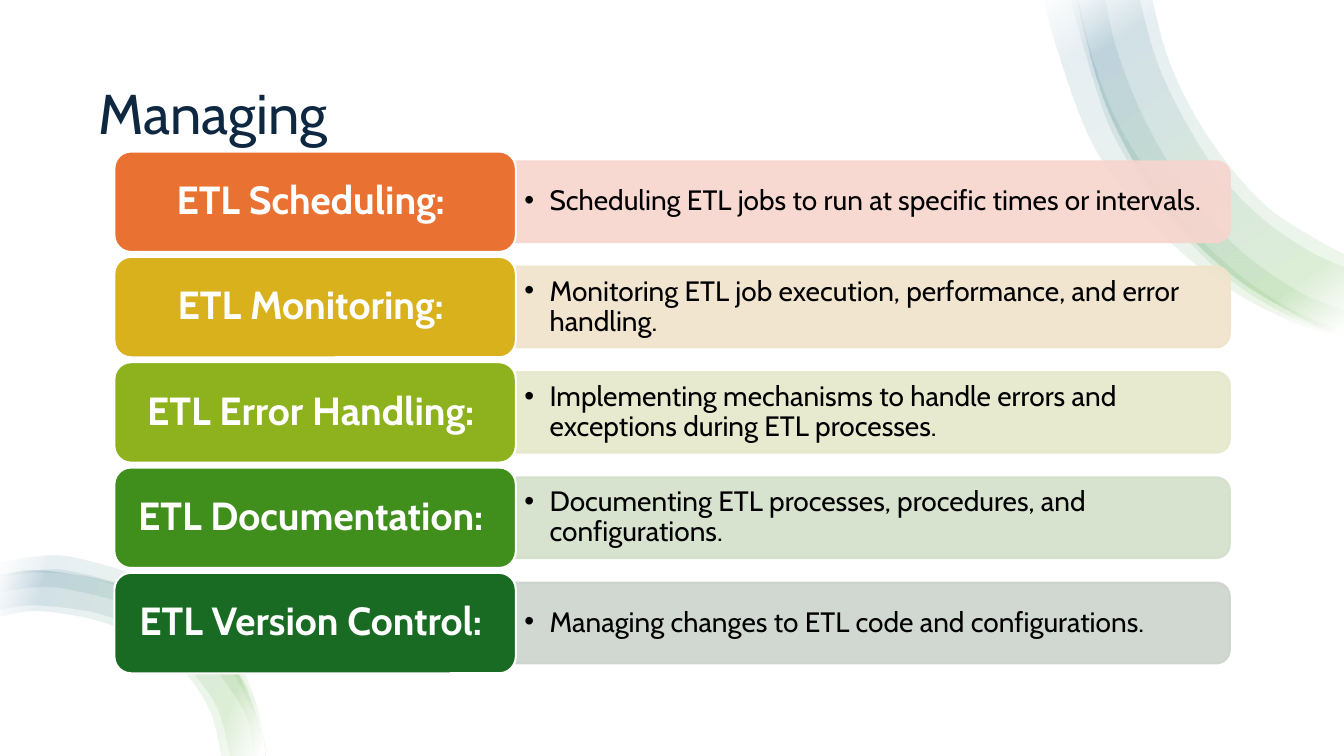
from dataclasses import dataclass

from lxml import etree
from pptx import Presentation
from pptx.dml.color import RGBColor
from pptx.enum.shapes import MSO_SHAPE
from pptx.enum.text import MSO_ANCHOR, PP_ALIGN
from pptx.oxml.ns import qn
from pptx.util import Pt

PLAIN = MSO_SHAPE.RECTANGLE
ROUNDED = MSO_SHAPE.ROUNDED_RECTANGLE
ROUNDED_END = MSO_SHAPE.ROUND_2_SAME_RECTANGLE
MIDDLE = MSO_ANCHOR.MIDDLE
LEFT, CENTER = PP_ALIGN.LEFT, PP_ALIGN.CENTER


@dataclass(frozen=True)
class Theme:
    font: str = "Cabin"
    bullet_font: str = "Arial"
    title: str = "0E2841"
    text: str = "000000"
    white: str = "FFFFFF"
    title_size: int = 40
    label_size: int = 28
    detail_size: int = 20
    line_width: float = 1.5
    panel_opacity: int = 90
    ribbon_opacity: int = 10
    ribbon_stops: tuple = (
        (2, "FFFFFF"), (16, "4EA72E"), (85, "156082"), (100, "FFFFFF"))


THEME = Theme()

ROWS = [
    ("ETL Scheduling: ", "E97132", "F7D5CE",
     "Scheduling ETL jobs to run at specific times or intervals."),
    ("ETL Monitoring: ", "D8B11D", "F0E3CB",
     "Monitoring ETL job execution, performance, and error handling."),
    ("ETL Error Handling: ", "8EB21E", "E5E8CA",
     "Implementing mechanisms to handle errors and exceptions during ETL processes."),
    ("ETL Documentation: ", "408E1C", "D3DFCA",
     "Documenting ETL processes, procedures, and configurations."),
    ("ETL Version Control: ", "196B24", "CCD4CD",
     "Managing changes to ETL code and configurations."),
]
PAGE_WIDTH, PAGE_HEIGHT = 960, 540
FIRST_TOP, ROW_PITCH, LABEL_HEIGHT = 108.2, 75.24, 71.8
LABEL_LEFT, LABEL_WIDTH = 81.7, 286.8
PANEL_LEFT, PANEL_WIDTH, PANEL_HEIGHT = 368.6, 509.8, 57.6
DETAIL_WIDTH, DETAIL_HEIGHT = 507, 52

TOP_ANGLE, BOTTOM_ANGLE = 125, 160
TOP_OUTER = [(960, 239), (942, 233), (881, 197), (829, 144), (791, 77),
             (770, 3), (768, -6)]
BOTTOM_OUTER = [(189, 540), (188, 529), (170, 482), (133, 444), (84, 418),
                (29, 408), (0, 412)]
RIBBONS = [
    (TOP_ANGLE,
     [(960, 241), (923, 230), (879, 207), (839, 176), (804, 138), (776, 94),
      (750, 19), (746, -6)],
     [(769, -6), (779, 37), (796, 83), (821, 125), (850, 163), (886, 197),
      (926, 223), (960, 236)]),
    (TOP_ANGLE, TOP_OUTER,
     [(822, -6), (834, 40), (853, 81), (878, 118), (907, 149), (941, 171),
      (960, 181)]),
    (TOP_ANGLE,
     [(960, 240), (921, 226), (880, 201), (845, 168), (815, 129), (791, 86),
      (769, 14), (765, -6)],
     [(789, -6), (797, 32), (813, 75), (834, 115), (860, 152), (892, 184),
      (929, 209), (960, 222)]),
    (TOP_ANGLE, TOP_OUTER,
     [(813, -6), (826, 42), (846, 85), (871, 124), (902, 156), (937, 180),
      (960, 190)]),
    (BOTTOM_ANGLE, BOTTOM_OUTER,
     [(0, 441), (29, 437), (77, 446), (120, 469), (148, 504), (158, 540)]),
    (BOTTOM_ANGLE, BOTTOM_OUTER,
     [(0, 436), (29, 433), (78, 441), (122, 466), (153, 502), (164, 540)]),
    (BOTTOM_ANGLE,
     [(189, 540), (186, 518), (178, 493), (146, 451), (102, 423), (50, 408),
      (23, 408), (0, 411)],
     [(0, 423), (24, 420), (48, 421), (96, 434), (138, 460), (168, 498),
      (178, 519), (181, 540)]),
    (BOTTOM_ANGLE,
     [(190, 540), (189, 533), (180, 495), (168, 470), (151, 449), (130, 430),
      (107, 414), (51, 398), (22, 398), (0, 402)],
     [(0, 412), (23, 409), (50, 410), (76, 416), (100, 426), (123, 439),
      (144, 454), (162, 474), (176, 500), (186, 520), (189, 540)]),
]


def edge_controls(points):
    padded = [points[0], *points, points[-1]]
    return [
        ([q + (r - p) / 6 for p, q, r in zip(a, b, c)],
         [r - (s - q) / 6 for q, r, s in zip(b, c, d)])
        for a, b, c, d in zip(padded, padded[1:], padded[2:], padded[3:])]


def bend(ribbon, outer, inner):
    controls = edge_controls(outer) + [None] + edge_controls(inner)
    segments = list(ribbon._element.spPr.iter(qn("a:lnTo")))
    for segment, pair in zip(segments, controls):
        if pair is None:
            continue
        segment.tag = qn("a:cubicBezTo")
        for place, (x, y) in enumerate(pair):
            point = etree.Element(qn("a:pt"), x=str(Pt(x) - ribbon.left),
                                  y=str(Pt(y) - ribbon.top))
            segment.insert(place, point)


def add_ribbon(page, angle, outer, inner):
    outline = [(Pt(x), Pt(y)) for x, y in outer + inner]
    builder = page.shapes.build_freeform(*outline[0])
    builder.add_line_segments(outline[1:], close=True)
    ribbon = builder.convert_to_shape()
    bend(ribbon, outer, inner)
    ribbon.shadow.inherit = False
    ribbon.line.fill.background()
    ribbon.fill.gradient()
    ribbon.fill.gradient_angle = angle
    stops = ribbon._element.spPr.find(".//" + qn("a:gsLst"))
    for stop in list(stops):
        stops.remove(stop)
    for position, color in THEME.ribbon_stops:
        stop = etree.SubElement(stops, qn("a:gs"), pos=str(position * 1000))
        etree.SubElement(stop, qn("a:srgbClr"), val=color)
    set_opacity(ribbon, THEME.ribbon_opacity)


def set_opacity(shape, percent):
    for color in shape._element.spPr.iter(qn("a:srgbClr")):
        etree.SubElement(color, qn("a:alpha"), val=str(percent * 1000))


def add_block(page, kind, left, top, width, height, fill, line=None):
    block = page.shapes.add_shape(kind, Pt(left), Pt(top), Pt(width), Pt(height))
    block.shadow.inherit = False
    block.fill.solid()
    block.fill.fore_color.rgb = RGBColor.from_string(fill)
    if line:
        block.line.color.rgb = RGBColor.from_string(line)
        block.line.width = Pt(THEME.line_width)
    else:
        block.line.fill.background()
    return block


def add_textbox(page, left, top, width, height):
    return page.shapes.add_textbox(Pt(left), Pt(top), Pt(width), Pt(height))


def write(box, text, size, color, side, edge, align=LEFT, bold=False, bullet=False):
    frame = box.text_frame
    frame.word_wrap = True
    frame.vertical_anchor = MIDDLE
    frame.margin_left = frame.margin_right = Pt(side)
    frame.margin_top = frame.margin_bottom = Pt(edge)
    para = frame.paragraphs[0]
    para.alignment = align
    para.line_spacing = 0.9
    if bullet:
        properties = para._p.get_or_add_pPr()
        properties.set("marL", str(Pt(18)))
        properties.set("indent", str(-Pt(18)))
        etree.SubElement(properties, qn("a:buFont"), typeface=THEME.bullet_font)
        etree.SubElement(properties, qn("a:buChar"), char="•")
    span = para.add_run()
    span.text = text
    span.font.name = THEME.font
    span.font.size = Pt(size)
    span.font.bold = bold
    span.font.color.rgb = RGBColor.from_string(color)


def add_row(page, top, label, color, tint, detail):
    middle = top + LABEL_HEIGHT / 2
    panel = add_block(page, ROUNDED_END,
                      PANEL_LEFT + (PANEL_WIDTH - PANEL_HEIGHT) / 2,
                      middle - PANEL_WIDTH / 2,
                      PANEL_HEIGHT, PANEL_WIDTH, tint, tint)
    panel.rotation = 90
    set_opacity(panel, THEME.panel_opacity)
    box = add_textbox(page, PANEL_LEFT, middle - DETAIL_HEIGHT / 2,
                      DETAIL_WIDTH, DETAIL_HEIGHT)
    write(box, detail, THEME.detail_size, THEME.text, 6, 3, bullet=True)
    block = add_block(page, ROUNDED, LABEL_LEFT, top, LABEL_WIDTH, LABEL_HEIGHT,
                      color, THEME.white)
    write(block, label, THEME.label_size, THEME.white, 9, 6, CENTER, bold=True)


def main():
    deck = Presentation()
    deck.slide_width, deck.slide_height = Pt(PAGE_WIDTH), Pt(PAGE_HEIGHT)
    page = deck.slides.add_slide(deck.slide_layouts[6])
    add_block(page, PLAIN, 0, 0, PAGE_WIDTH, PAGE_HEIGHT, THEME.white)
    for ribbon in RIBBONS:
        add_ribbon(page, *ribbon)
    title = add_textbox(page, 63.4, 36, 833, 93.6)
    write(title, "Managing", THEME.title_size, THEME.title, 7.2, 3.6)
    for index, row in enumerate(ROWS):
        add_row(page, FIRST_TOP + index * ROW_PITCH, *row)
    deck.save("out.pptx")


if __name__ == "__main__":
    main()
